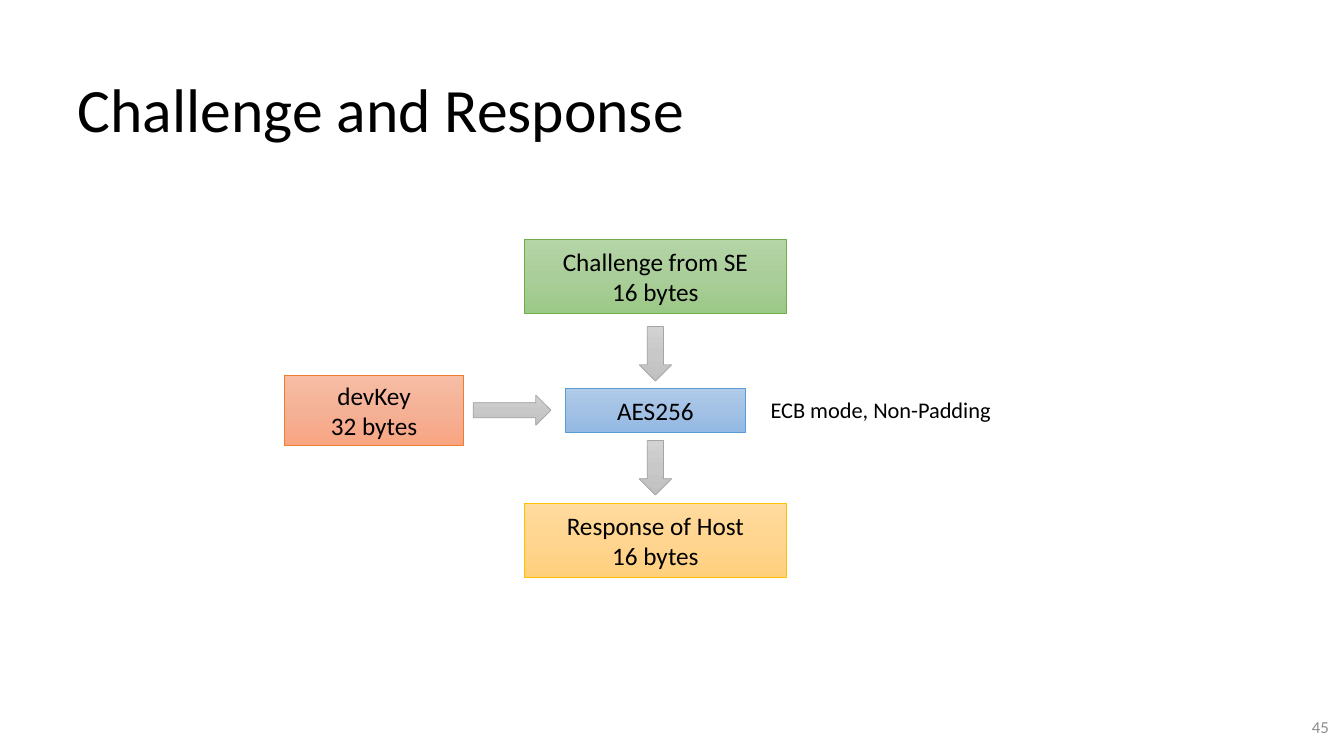
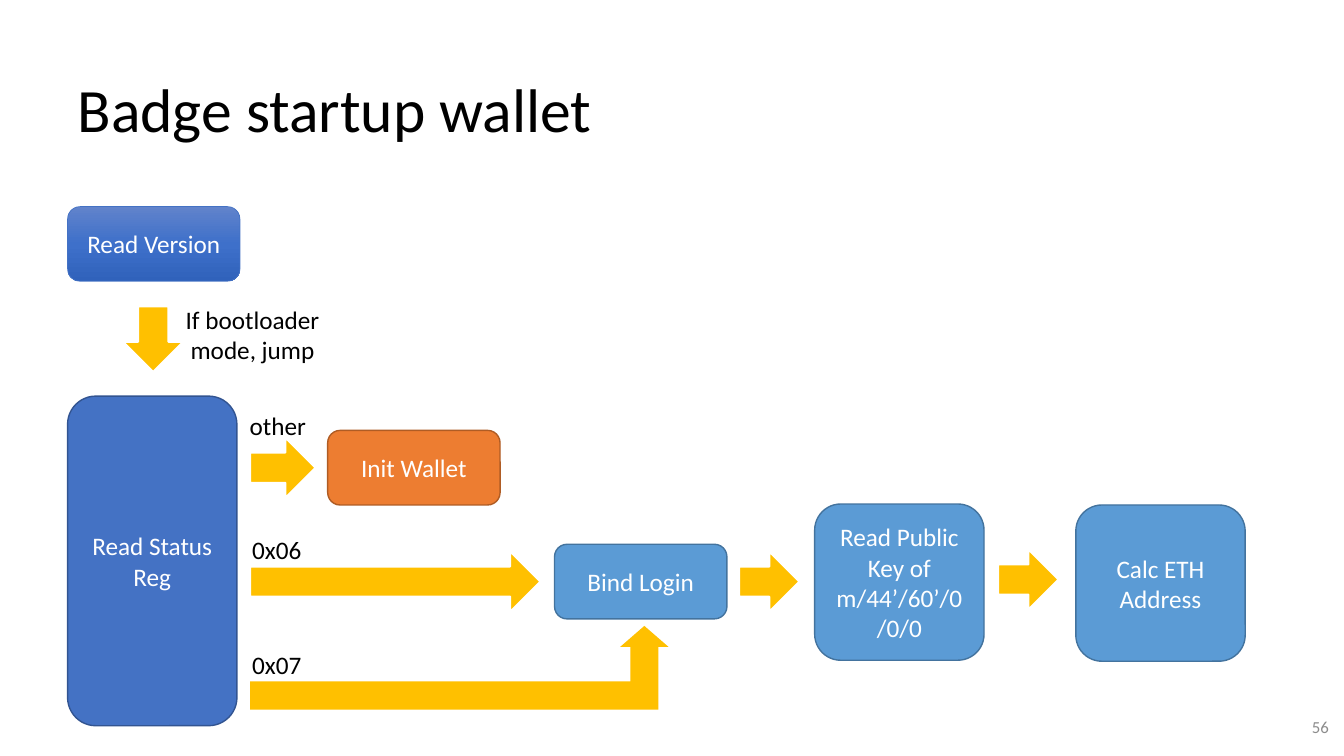
import copy
import pptx
import pptx.dml.color
import pptx.enum.shapes
import pptx.enum.text
import pptx.oxml.ns
import pptx.util

Inches, Pt = pptx.util.Inches, pptx.util.Pt
SHAPE = pptx.enum.shapes.MSO_SHAPE
ALIGN = pptx.enum.text.PP_ALIGN
ANCHOR = pptx.enum.text.MSO_ANCHOR
AUTO = pptx.enum.text.MSO_AUTO_SIZE

FONT = "Calibri"
BLACK, WHITE, NUMBER_GREY = "000000", "FFFFFF", "8C8C8C"

GREEN = (("B5D5A7", "AACE9A", "9CC987"), "70AD47", 0.5)
BLUE = (("B1CBE9", "A3C1E5", "93B9E4"), "5B9BD5", 0.5)
YELLOW = (("FFDB9E", "FFD590", "FFD07C"), "FFC000", 0.5)
SALMON = (("F7BDA5", "F5B196", "F8A582"), "ED7D31", 0.5)
GREY = (("D2D2D2", "C8C8C8", "C0C0C0"), "A5A5A5", 0.5)
ROYAL = (("6183CB", "3E70CA", "3062BB"), "4472C4", 0.5)
NAVY = ("4472C4", "325491", 1)
SKY = ("5B9BD5", "43739E", 1)
ORANGE = ("ED7D31", "AF5C24", 1)
GOLD = ("FFC000", WHITE, 1.5)
GOLD_PLAIN = ("FFC000", None, 0)

AXIS_X, AXIS_Y = 6.5, 4.07
CIPHER_BOXES = [
    (["Challenge from SE", "16 bytes"], AXIS_X, 2.74, 2.59, 0.74, GREEN),
    (["AES256"], AXIS_X, AXIS_Y, 1.78, 0.44, BLUE),
    (["Response of Host", "16 bytes"], AXIS_X, 5.36, 2.59, 0.74, YELLOW),
    (["devKey", "32 bytes"], 3.71, AXIS_Y, 1.78, 0.69, SALMON),
]
CIPHER_ARROWS = [
    (SHAPE.DOWN_ARROW, AXIS_X, 3.51, 0.32, 0.54),
    (SHAPE.DOWN_ARROW, AXIS_X, 4.64, 0.32, 0.54),
    (SHAPE.RIGHT_ARROW, 5.08, AXIS_Y, 0.77, 0.3),
]
CIPHER_NOTE = ("ECB mode, Non-Padding", 7.53, 3.88, 2.41, 0.37)

STEP, TILE = (1.71, 0.74), (1.68, 1.55)
WALLET_STEPS = [
    ("Read Version", 0.67, 2.05, STEP, ROYAL),
    ("Read Status Reg", 0.67, 3.93, (1.68, 3.27), NAVY),
    ("Init Wallet", 3.25, 4.27, STEP, ORANGE),
    ("Bind Login", 5.5, 5.4, STEP, SKY),
    ("Read Public Key of m/44’/60’/0/0/0", 8.08, 5, TILE, SKY),
    ("Calc ETH Address", 10.67, 5.01, TILE, SKY),
]
WALLET_ARROWS = [
    (SHAPE.DOWN_ARROW, 1.22, 3.04, 0.6, 0.65),
    (SHAPE.RIGHT_ARROW, 2.48, 4.34, 0.65, 0.6),
    (SHAPE.RIGHT_ARROW, 2.48, 5.47, 2.88, 0.6),
    (SHAPE.RIGHT_ARROW, 7.33, 5.47, 0.6, 0.6),
    (SHAPE.RIGHT_ARROW, 9.9, 5.45, 0.6, 0.6),
]
WALLET_LABELS = [
    ("other", 2.37, 4.02, 0.77, 0.4, False),
    ("0x06", 2.4, 5.25, 0.69, 0.4, False),
    ("0x07", 2.4, 6.39, 0.69, 0.4, False),
    ("If bootloader mode, jump", 1.57, 2.97, 1.87, 0.71, True),
]


def rgb(value):
    return pptx.dml.color.RGBColor.from_string(value)


def write(tf, lines, size, color, align, anchor, wrap=True):
    tf.word_wrap = wrap
    tf.vertical_anchor = anchor
    for i, line in enumerate(lines):
        p = tf.add_paragraph() if i else tf.paragraphs[0]
        p.text = line
        p.alignment = align
        p.font.name, p.font.size = FONT, Pt(size)
        p.font.color.rgb = rgb(color)


def paint(sp, style):
    fill, line, width = style
    sp.shadow.inherit = False
    if isinstance(fill, tuple):
        sp.fill.gradient()
        sp.fill.gradient_angle = 270
        stops = sp._element.spPr.find(".//" + pptx.oxml.ns.qn("a:gsLst"))
        stops.insert(1, copy.deepcopy(stops[0]))
        for stop, color, position in zip(sp.fill.gradient_stops, fill, (0, 0.5, 1)):
            stop.color.rgb = rgb(color)
            stop.position = position
    else:
        sp.fill.solid()
        sp.fill.fore_color.rgb = rgb(fill)
    if line:
        sp.line.color.rgb = rgb(line)
        sp.line.width = Pt(width)
    else:
        sp.line.fill.background()


def add_shape(s, kind, x, y, w, h, style, lines=(), color=BLACK):
    sp = s.shapes.add_shape(kind, Inches(x), Inches(y), Inches(w), Inches(h))
    paint(sp, style)
    write(sp.text_frame, lines, 18, color, ALIGN.CENTER, ANCHOR.MIDDLE)
    return sp


def add_centred(s, kind, cx, cy, w, h, style, lines=()):
    return add_shape(s, kind, cx - w / 2, cy - h / 2, w, h, style, lines)


def add_label(s, text, x, y, w, h, size=18, wrap=False):
    tf = s.shapes.add_textbox(Inches(x), Inches(y), Inches(w), Inches(h)).text_frame
    write(tf, [text], size, BLACK, ALIGN.CENTER, ANCHOR.TOP, wrap)
    tf.auto_size = AUTO.SHAPE_TO_FIT_TEXT


def add_slide(prs, title, number):
    s = prs.slides.add_slide(prs.slide_layouts[5])
    sp = s.shapes.title
    sp.left, sp.top, sp.width, sp.height = map(Inches, (0.67, 0.3, 12, 1.25))
    page = s.shapes.add_textbox(*map(Inches, (12.48, 6.93, 0.8, 0.57)))
    for tf in (sp.text_frame, page.text_frame):
        tf.margin_left = tf.margin_right = Inches(0.1)
        tf.margin_top = tf.margin_bottom = Inches(0.1)
        tf.auto_size = AUTO.NONE
    write(sp.text_frame, [title], 44, BLACK, ALIGN.LEFT, ANCHOR.BOTTOM)
    sp.text_frame.paragraphs[0].line_spacing = 0.9
    write(page.text_frame, [str(number)], 12, NUMBER_GREY, ALIGN.RIGHT, ANCHOR.MIDDLE)
    return s


def build_challenge(prs):
    s = add_slide(prs, "Challenge and Response", 45)
    for lines, cx, cy, w, h, style in CIPHER_BOXES:
        add_centred(s, SHAPE.RECTANGLE, cx, cy, w, h, style, lines)
    for kind, *place in CIPHER_ARROWS:
        add_centred(s, kind, *place, GREY)
    add_label(s, *CIPHER_NOTE, size=16)


def build_wallet(prs):
    s = add_slide(prs, "Badge startup wallet", 56)
    for kind, *place in WALLET_ARROWS:
        add_shape(s, kind, *place, GOLD)
    bent = add_shape(s, SHAPE.BENT_UP_ARROW, 2.48, 6.21, 4.15, 0.83, GOLD_PLAIN)
    for i, value in enumerate((0.336, 0.288, 0.25)):
        bent.adjustments[i] = value
    for text, x, y, size, style in WALLET_STEPS:
        add_shape(s, SHAPE.ROUNDED_RECTANGLE, x, y, *size, style, [text], WHITE)
    for text, x, y, w, h, wrap in WALLET_LABELS:
        add_label(s, text, x, y, w, h, wrap=wrap)


def main():
    prs = pptx.Presentation()
    prs.slide_width, prs.slide_height = Inches(13.33), Inches(7.5)
    build_challenge(prs)
    build_wallet(prs)
    prs.save("out.pptx")


if __name__ == "__main__":
    main()
